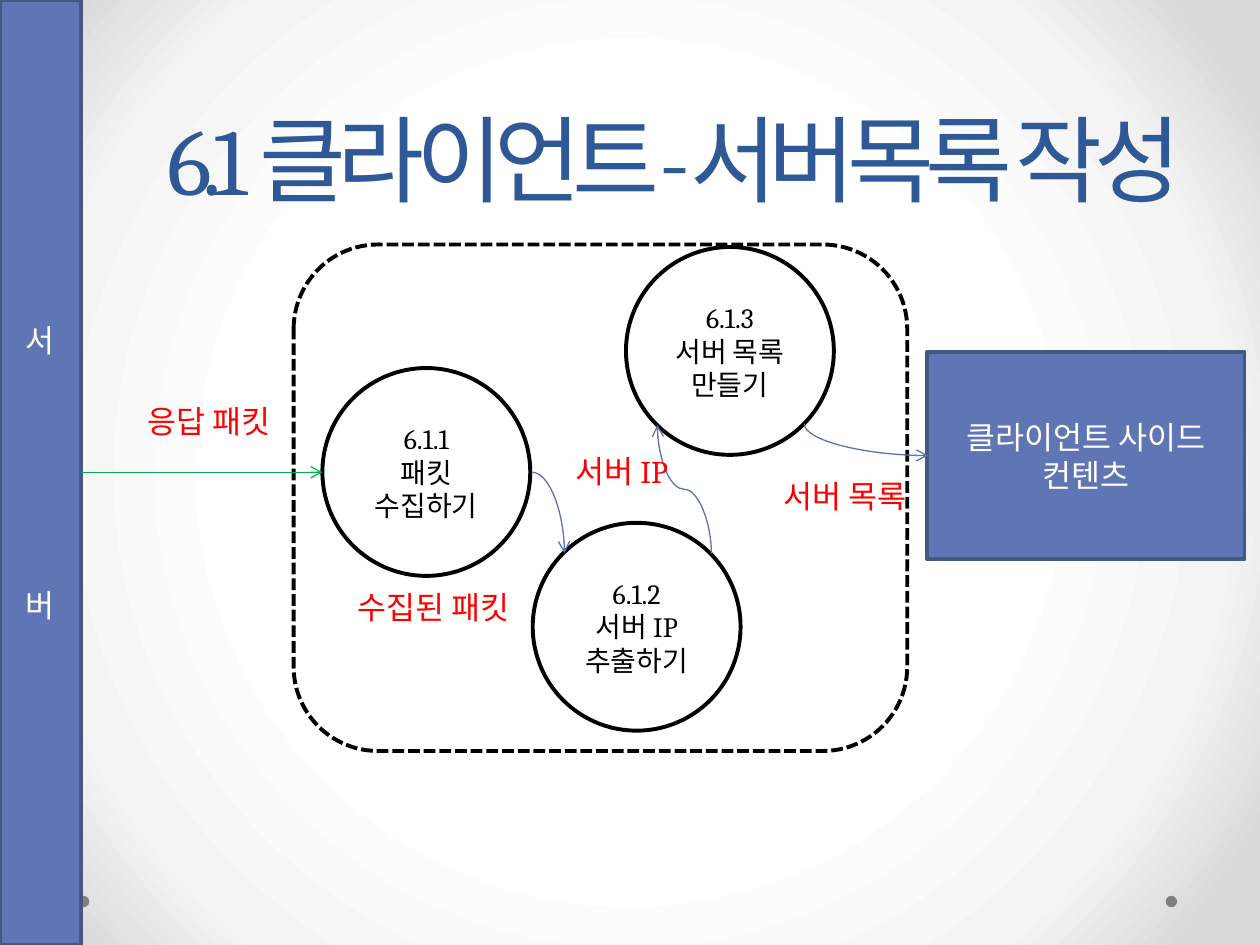
from lxml import etree
from pptx import Presentation
from pptx.dml.color import RGBColor
from pptx.enum.dml import MSO_LINE
from pptx.enum.shapes import MSO_CONNECTOR, MSO_SHAPE
from pptx.enum.text import MSO_ANCHOR, MSO_AUTO_SIZE, PP_ALIGN
from pptx.oxml import parse_xml
from pptx.oxml.ns import nsdecls, qn
from pptx.util import Cm, Pt

RECT, ROUND, OVAL = MSO_SHAPE.RECTANGLE, MSO_SHAPE.ROUNDED_RECTANGLE, MSO_SHAPE.OVAL
LINE, CURVE = MSO_CONNECTOR.STRAIGHT, MSO_CONNECTOR.CURVE
LEFT, CENTER = PP_ALIGN.LEFT, PP_ALIGN.CENTER
MIDDLE, BOTTOM = MSO_ANCHOR.MIDDLE, MSO_ANCHOR.BOTTOM
NONE, GROW = MSO_AUTO_SIZE.NONE, MSO_AUTO_SIZE.SHAPE_TO_FIT_TEXT
DASH = MSO_LINE.SQUARE_DOT
FONT = "Cambria"
BLUE, EDGE, CURL = "6076B4", "475785", "5C72B2"
SIZE = 4.19


def paint(form, color):
    """Set a fill or font colour from a hex string."""
    if hasattr(form, "solid"):
        form.solid()
        form = form.fore_color
    else:
        form = form.color
    form.rgb = RGBColor.from_string(color)


def write(frame, lines, size, color, align=CENTER, gap=0):
    """Fill a text frame with one paragraph for each line."""
    frame.word_wrap = True
    for i, line in enumerate(lines):
        para = frame.add_paragraph() if i else frame.paragraphs[0]
        para.alignment = align
        if i and gap:
            para.space_before = Pt(gap)
        run = para.add_run()
        run.text = line
        run.font.name = FONT
        run.font.size = Pt(size)
        paint(run.font, color)
    return frame


def shape(slide, kind, box, fill=None, edge=None):
    """Add a preset shape with plain fill and outline."""
    item = slide.shapes.add_shape(kind, *map(Cm, box))
    item.shadow.inherit = False
    if fill:
        paint(item.fill, fill)
    else:
        item.fill.background()
    if edge:
        paint(item.line.fill, edge)
        item.line.width = Pt(2.25)
    else:
        item.line.fill.background()
    return item


def block(slide, box, lines, gap=0):
    """Add a blue box with white text."""
    frame = shape(slide, RECT, box, BLUE, EDGE).text_frame
    frame.vertical_anchor = MIDDLE
    write(frame, lines, 18, "FFFFFF", gap=gap)


def step(slide, x, y, lines):
    """Add a white process circle."""
    frame = shape(slide, OVAL, (x, y, SIZE, SIZE), "FFFFFF", "000000").text_frame
    frame.vertical_anchor = MIDDLE
    frame.margin_left = frame.margin_right = Cm(0.1)
    frame.margin_top = frame.margin_bottom = Cm(0.1)
    write(frame, lines, 16, "000000")


def label(slide, x, y, wide, text):
    """Add a red flow label."""
    frame = slide.shapes.add_textbox(Cm(x), Cm(y), Cm(wide), Cm(1.02)).text_frame
    write(frame, [text], 18, "FF0000", LEFT)
    frame.auto_size = GROW


def arrow(slide, kind, x, y, wide, high, color, preset=None, flip=None):
    """Add an open arrow, turned a quarter left when flipped."""
    item = slide.shapes.add_connector(kind, Cm(x), Cm(y), Cm(x + wide), Cm(y + high))
    paint(item.line.fill, color)
    item.line.width = Pt(0.75)
    props = item._element.spPr
    etree.SubElement(item.line._get_or_add_ln(), qn("a:tailEnd"), type="arrow")
    etree.SubElement(props, qn("a:effectLst"))
    if preset:
        props.find(qn("a:prstGeom")).set("prst", preset)
    if flip:
        item.rotation = 270
        props.find(qn("a:xfrm")).set(flip, "1")


def backdrop(slide):
    """Paint the round grey gradient and the two footer dots."""
    stops = "".join(
        f'<a:gs pos="{pos}000"><a:srgbClr val="{color}"/></a:gs>'
        for pos, color in ((50, "FFFFFF"), (76, "F4F4F4"), (92, "DADADA")))
    back = parse_xml(
        f'<p:bg {nsdecls("p", "a")}><p:bgPr><a:gradFill rotWithShape="1">'
        f'<a:gsLst>{stops}</a:gsLst><a:path path="circle">'
        '<a:fillToRect l="50000" t="50000" r="50000" b="50000"/></a:path>'
        '</a:gradFill><a:effectLst/></p:bgPr></p:bg>')
    slide._element.cSld.insert(0, back)
    for x in (23.5, 1.57):
        shape(slide, OVAL, (x, 18.06, 0.23, 0.23), "808080")


def heading(slide, box, text):
    """Place and format the title."""
    title = slide.shapes.title
    title.left, title.top, title.width, title.height = map(Cm, box)
    frame = write(title.text_frame, [text], 54, "2F5897")
    frame.auto_size = NONE
    frame.vertical_anchor = BOTTOM
    para = frame.paragraphs[0]
    para.line_spacing = Pt(58)
    para.runs[0].font._element.set("spc", "-500")


def flow(slide, x, y, wide, high):
    """Draw the dashed frame with its steps, arrows and labels."""
    frame = shape(slide, ROUND, (x, y, wide, high), edge="000000")
    frame.line.dash_style = DASH
    for dx, dy, lines in (
            (0.58, 2.49, ["6.1.1", "패킷 수집하기"]),
            (4.82, 5.61, ["6.1.2", "서버 IP 추출하기"]),
            (6.7, 0.05, ["6.1.3", "서버 목록", "만들기"])):
        step(slide, x + dx, y + dy, lines)
    for kind, dx, dy, w, h, color, preset, flip in (
            (LINE, -4.29, 4.59, 4.87, 0, "00B050", None, None),
            (CURVE, 4.8, 4.59, 0.66, 1.63, CURL, "curvedConnector2", None),
            (CURVE, 11.22, 2.69, 0.64, 2.49, CURL, "curvedConnector2", "flipH"),
            (CURVE, 6.58, 4.39, 2.59, 1.09, CURL, "curvedConnector3", "flipV")):
        arrow(slide, kind, x + dx, y + dy, w, h, color, preset, flip)
    for dx, dy, w, text in (
            (-3.2, 3.05, 3.81, "응답 패킷"),
            (9.62, 4.57, 3.81, "서버 목록"),
            (1.04, 6.8, 4.42, "수집된 패킷"),
            (5.43, 4.06, 4.42, "서버 IP")):
        label(slide, x + dx, y + dy, w, text)


def main():
    """Build and save the slide."""
    deck = Presentation()
    deck.slide_width, deck.slide_height = Cm(25.4), Cm(19.05)
    slide = deck.slides.add_slide(deck.slide_layouts[5])
    backdrop(slide)
    heading(slide, (1.27, 0, 24.64, 4.44), "6.1 클라이언트-서버목록 작성")
    block(slide, (0, 0, 1.63, 19.05), ["서", "버"], gap=130)
    block(slide, (18.69, 7.09, 6.4, SIZE), ["클라이언트 사이드", "컨텐츠"])
    flow(slide, 5.92, 4.93, 12.37, 10.21)
    deck.save("out.pptx")


main()
